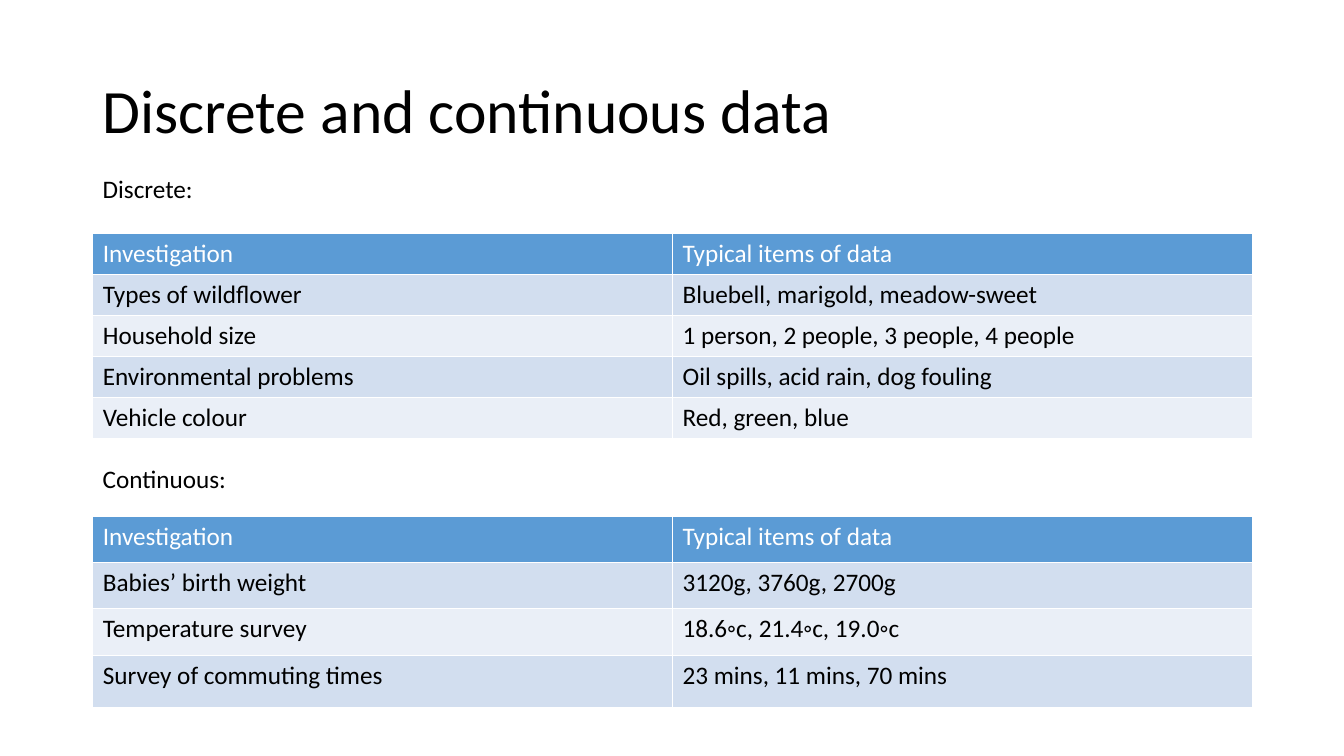
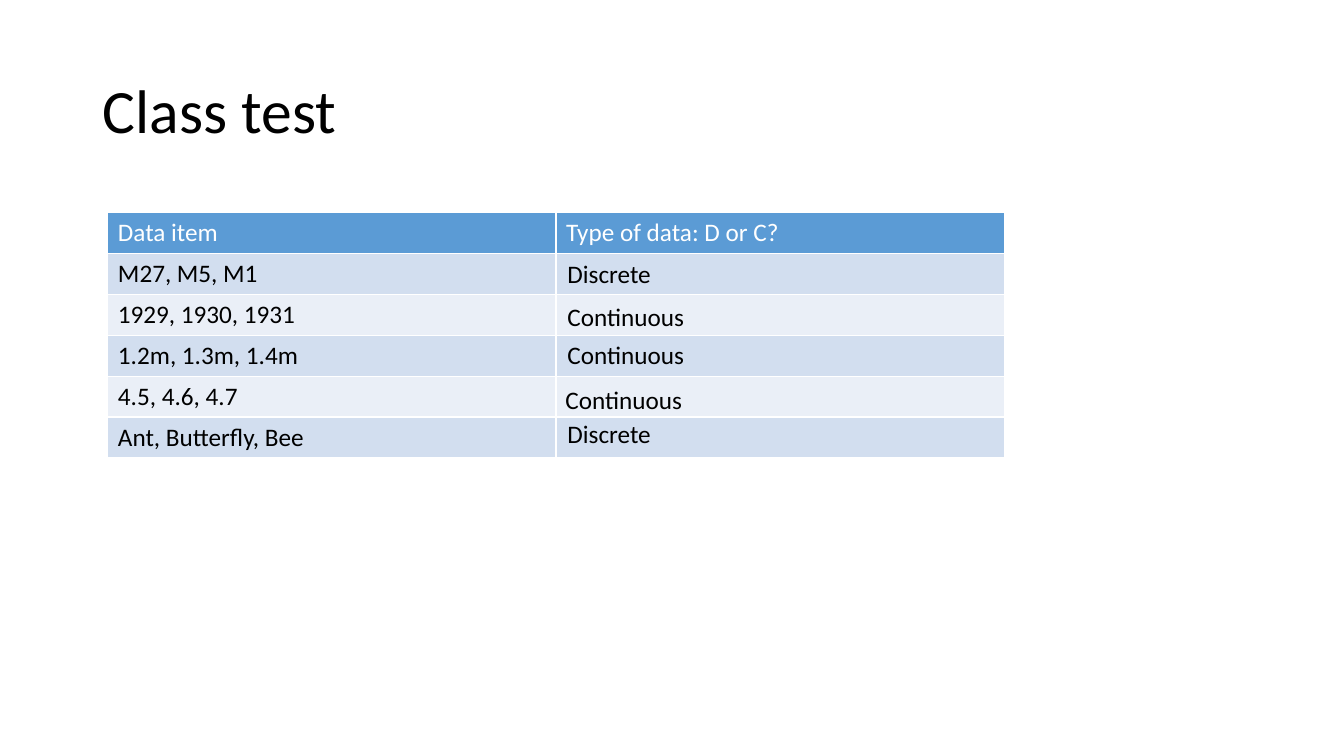
from pptx import Presentation
from pptx.dml.color import RGBColor
from pptx.enum import text
from pptx.util import Inches, Pt

COLORS = {"head": "5B9BD5", "odd": "D2DEEF", "even": "EAEFF7",
          "white": "FFFFFF", "black": "000000"}
FONT = "Calibri"

deck = Presentation()
deck.slide_width, deck.slide_height = Inches(13.33), Inches(7.5)


def write(frame, words, color="black", size=18):
    frame.text = words
    line = frame.paragraphs[0]
    line.font.name, line.font.size, line.font.bold = FONT, Pt(size), False
    line.font.color.rgb = RGBColor.from_string(COLORS[color])
    return line


def grid(slide, rows, left, top, width, height):
    frame = slide.shapes.add_table(len(rows), 2, Inches(left), Inches(top),
                                   Inches(width), Inches(height))
    for r, row in enumerate(rows):
        band = "head" if r == 0 else "odd" if r % 2 else "even"
        for c, words in enumerate(row):
            cell = frame.table.cell(r, c)
            cell.fill.solid()
            cell.fill.fore_color.rgb = RGBColor.from_string(COLORS[band])
            write(cell.text_frame, words, "black" if r else "white")
    return frame.table


# Content
header = ("Investigation", "Typical items of data")
discrete = [
    header,
    ("Types of wildflower", "Bluebell, marigold, meadow-sweet"),
    ("Household size", "1 person, 2 people, 3 people, 4 people"),
    ("Environmental problems", "Oil spills, acid rain, dog fouling"),
    ("Vehicle colour", "Red, green, blue"),
]
measured = [
    header,
    ("Babies’ birth weight", "3120g, 3760g, 2700g"),
    ("Temperature survey", "18.6◦c, 21.4◦c, 19.0◦c"),
    ("Survey of commuting times", "23 mins, 11 mins, 70 mins"),
]
quiz = [
    ("Data item", "Type of data: D or C?"),
    ("M27, M5, M1", ""),
    ("1929, 1930, 1931", ""),
    ("1.2m, 1.3m, 1.4m", ""),
    ("4.5, 4.6, 4.7", ""),
    ("Ant, Butterfly, Bee", ""),
]

# Loose labels: words, left, top, width
heads = [("Discrete:", 0.92, 1.67, 2.49), ("Continuous:", 0.92, 4.55, 2.49)]
answers = [
    ("Discrete", 5.53, 2.51, 1.29),
    ("Continuous", 5.53, 2.94, 1.99),
    ("Continuous", 5.53, 3.32, 1.99),
    ("Continuous", 5.51, 3.76, 1.99),
    ("Discrete", 5.53, 4.1, 1.29),
]

# Tables: rows, left, top, width, height
pages = [
    ("Discrete and continuous data",
     [(discrete, 0.92, 2.32, 11.5, 2.03), (measured, 0.92, 5.12, 11.5, 1.84)],
     heads),
    ("Class test", [(quiz, 1.07, 2.11, 8.89, 2.43)], answers),
]

for name, tables, labels in pages:
    slide = deck.slides.add_slide(deck.slide_layouts[5])

    # Title
    title = slide.shapes.title
    title.left, title.top = Inches(0.92), Inches(0.4)
    title.width, title.height = Inches(11.5), Inches(1.45)
    line = write(title.text_frame, name, size=44)
    line.alignment, line.line_spacing = text.PP_ALIGN.LEFT, 0.9
    title.text_frame.vertical_anchor = text.MSO_ANCHOR.MIDDLE
    title.text_frame.auto_size = text.MSO_AUTO_SIZE.NONE

    # Tables
    for rows, *place in tables:
        table = grid(slide, rows, *place)
        if rows is measured:
            table.rows[len(rows) - 1].height = Inches(0.52)

    # Labels
    for words, left, top, width in labels:
        box = slide.shapes.add_textbox(Inches(left), Inches(top),
                                       Inches(width), Inches(0.4))
        box.text_frame.word_wrap = True
        box.text_frame.auto_size = text.MSO_AUTO_SIZE.SHAPE_TO_FIT_TEXT
        write(box.text_frame, words)

deck.save("out.pptx")
